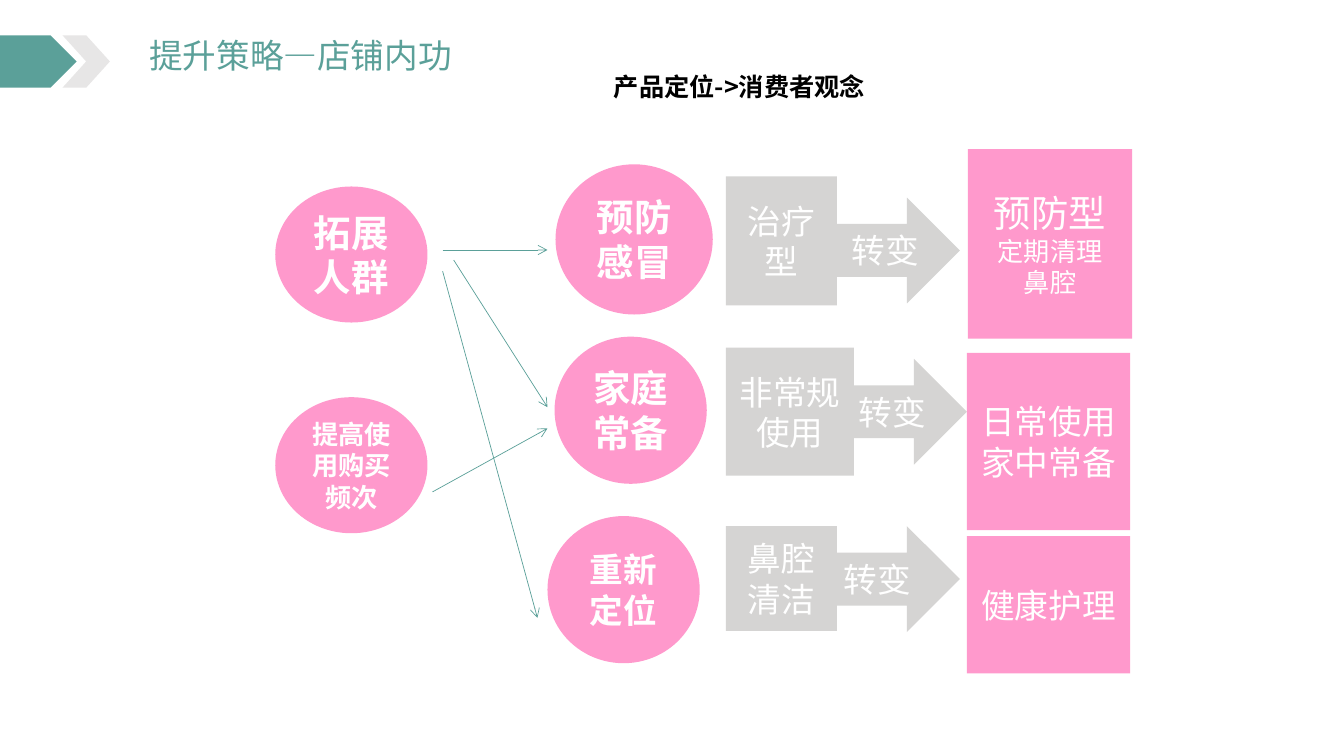
"""Builds the slide on store improvement strategy."""
from pptx import Presentation
from pptx.dml.color import RGBColor
from pptx.enum.shapes import MSO_CONNECTOR, MSO_SHAPE as SHAPE
from pptx.enum.text import MSO_ANCHOR, MSO_AUTO_SIZE, PP_ALIGN
from pptx.oxml.ns import qn
from pptx.util import Inches, Pt
from lxml.etree import SubElement

FONT = "Noto Sans CJK SC"
COLORS = {"teal": "5BA099", "light": "E7E6E6", "pink": "FF99CC",
          "gray": "D5D4D3", "white": "FFFFFF", "black": "000000"}

CIRCLES = [
    ((2.73, 1.85, 1.51, 1.35), ["拓展人群"], 26.7),
    ((2.73, 3.94, 1.51, 1.35), ["提高使用购买频次"], 18.7),
    ((5.51, 1.63, 1.56, 1.49), ["预防感冒"], 26.7),
    ((5.5, 3.34, 1.51, 1.46), ["家庭", "常备"], 26.7),
    ((5.43, 5.12, 1.51, 1.46), ["重新定位"], 24),
]
OLD_VIEWS = [
    ((7.2, 1.75, 1.1, 1.28), ["治疗型"]),
    ((7.2, 3.45, 1.27, 1.27), ["非常规使用"]),
    ((7.2, 5.22, 1.1, 1.04), ["鼻腔", "清洁"]),
]
CHANGES = [(8.3, 1.96, 1.22, 1.05), (8.37, 3.56, 1.22, 1.05),
           (8.14, 5.22, 1.38, 1.05)]
NEW_VIEWS = [
    ((9.6, 1.48, 1.63, 1.88), ["预防型", "定期清理", "鼻腔"], [26.7, 18.7, 18.7]),
    ((9.59, 3.5, 1.62, 1.76), ["日常使用", "家中常备"], [24, 24]),
    ((9.59, 5.32, 1.62, 1.36), ["健康护理"], [24]),
]
LINKS = [
    ((4.39, 2.48), (5.43, 2.48)),
    ((4.5, 2.58), (5.43, 4.04)),
    ((4.29, 4.88), (5.43, 4.25)),
    ((4.39, 2.69), (5.33, 6.13)),
]


def rgb(name):
    """Return a named colour."""
    return RGBColor.from_string(COLORS[name])


def write(tf, lines, sizes, color, bold=False, align=PP_ALIGN.CENTER):
    """Fill a text frame with one paragraph per line."""
    tf.text = "\n".join(lines)
    for p, size in zip(tf.paragraphs, sizes):
        p.alignment = align
        for r in p.runs:
            r.font.name = FONT
            r.font.size = Pt(size)
            r.font.bold = bold
            r.font.color.rgb = rgb(color)
            SubElement(r.font._element, qn("a:ea")).set("typeface", FONT)


def add_block(slide, kind, box, fill, lines=(), sizes=(), bold=False):
    """Add a filled shape with centred white text."""
    s = slide.shapes.add_shape(kind, *map(Inches, box))
    s.shadow.inherit = False
    s.fill.solid()
    s.fill.fore_color.rgb = rgb(fill)
    s.line.fill.background()
    if lines:
        s.text_frame.vertical_anchor = MSO_ANCHOR.MIDDLE
        write(s.text_frame, lines, sizes, "white", bold)
    return s


def add_link(slide, start, end):
    """Add a thin line with an open arrowhead at its end."""
    c = slide.shapes.add_connector(MSO_CONNECTOR.STRAIGHT,
                                   *map(Inches, start + end))
    c.line.color.rgb = rgb("teal")
    c.line.width = Pt(0.5)
    SubElement(c.line._get_or_add_ln(), qn("a:tailEnd")).set("type", "arrow")
    SubElement(c._element.spPr, qn("a:effectLst"))


def add_header(slide):
    """Place the title, its banner and the subtitle."""
    title = slide.shapes.title
    title.left, title.top, title.width, title.height = map(
        Inches, (1.38, 0.3, 3.26, 0.5))
    tf = title.text_frame
    tf.word_wrap = False
    tf.auto_size = MSO_AUTO_SIZE.NONE
    tf.vertical_anchor = MSO_ANCHOR.TOP
    write(tf, ["提升策略—店铺内功"], [24], "teal", align=PP_ALIGN.LEFT)
    add_block(slide, SHAPE.PENTAGON, (0, 0.35, 0.76, 0.52), "teal")
    add_block(slide, SHAPE.CHEVRON, (0.62, 0.35, 0.47, 0.52), "light")
    subtitle = slide.shapes.add_textbox(*map(Inches, (5.99, 0.66, 3.92, 0.4)))
    subtitle.text_frame.word_wrap = True
    write(subtitle.text_frame, ["产品定位->消费者观念"], [18], "black", True,
          PP_ALIGN.LEFT)


def main():
    """Build and save the slide."""
    prs = Presentation()
    prs.slide_width, prs.slide_height = Inches(13.33), Inches(7.5)
    slide = prs.slides.add_slide(prs.slide_layouts[5])
    add_header(slide)
    for box, lines, size in CIRCLES:
        add_block(slide, SHAPE.OVAL, box, "pink", lines, [size] * len(lines), True)
    for box, lines in OLD_VIEWS:
        add_block(slide, SHAPE.RECTANGLE, box, "gray", lines, [24] * len(lines))
    for box in CHANGES:
        add_block(slide, SHAPE.RIGHT_ARROW, box, "gray", ["转变"], [24])
    for box, lines, sizes in NEW_VIEWS:
        add_block(slide, SHAPE.RECTANGLE, box, "pink", lines, sizes)
    for start, end in LINKS:
        add_link(slide, start, end)
    prs.save("out.pptx")


if __name__ == "__main__":
    main()
